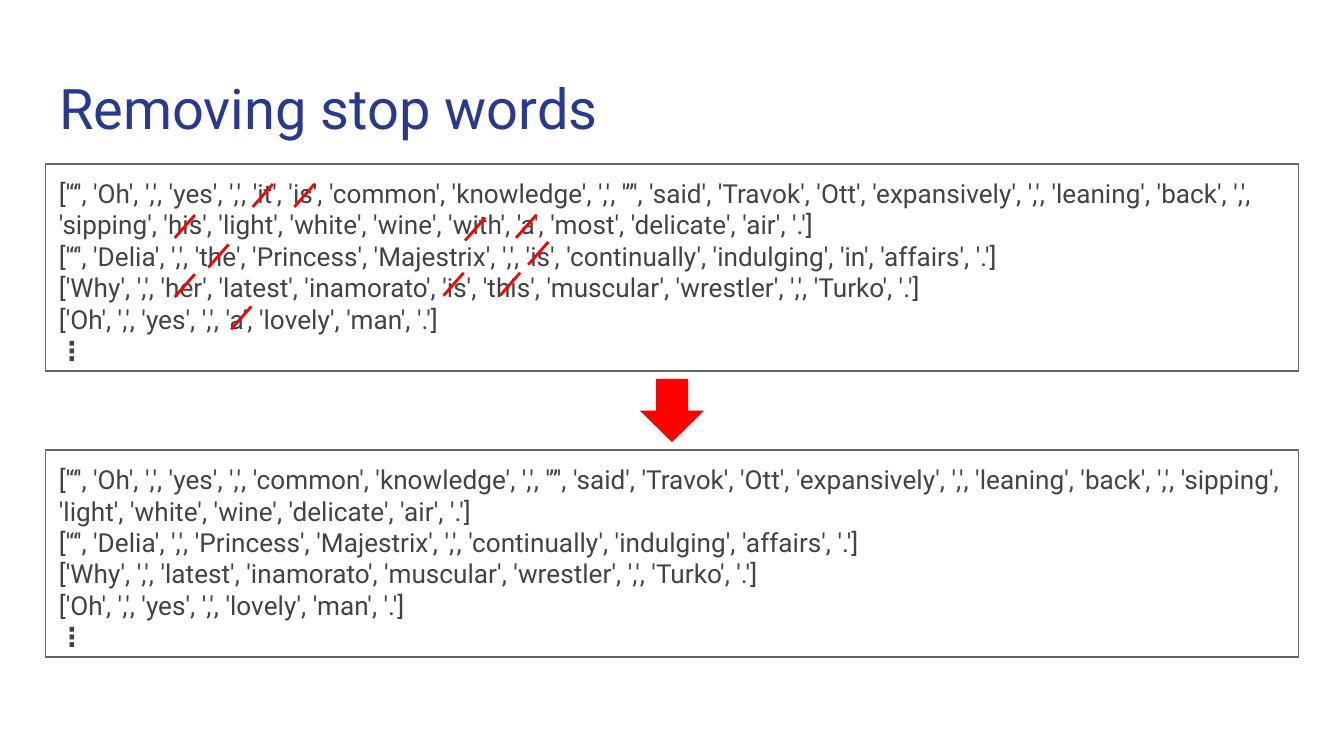
from lxml import etree
from pptx import Presentation
from pptx.dml.color import RGBColor
from pptx.enum import shapes, text
from pptx.oxml import ns
from pptx.util import Inches, Pt

BLUE = RGBColor(0x2A, 0x39, 0x90)
DARK = RGBColor(0x43, 0x43, 0x43)
GRAY = RGBColor(0x66, 0x66, 0x66)
RED = RGBColor(0xFF, 0x00, 0x00)
FONT = "Roboto"

TITLE = "Removing stop words"
SENTENCES = [
    "“ Oh , yes , it is common knowledge , ” said Travok Ott expansively , "
    "leaning back , sipping his light white wine with a most delicate air .",
    "“ Delia , the Princess Majestrix , is continually indulging in affairs .",
    "Why , her latest inamorato is this muscular wrestler , Turko .",
    "Oh , yes , a lovely man .",
]
STOP_WORDS = {"it", "is", "his", "with", "a", "most", "the", "in", "her", "this"}
# Left and top of each strike through a stop word
STRIKES = [
    (1.88, 1.37), (2.19, 1.37),
    (1.3, 1.6), (3.46, 1.62), (3.84, 1.6),
    (1.55, 1.82), (3.93, 1.8),
    (1.3, 2.04), (3.3, 2.03), (3.72, 2.03),
    (1.72, 2.28),
]
STRIKE_WIDTH, STRIKE_HEIGHT = 0.15, 0.17
LEFT, WIDTH = 0.34, 9.32
BOX_HEIGHT = 1.54
BEFORE_TOP, AFTER_TOP = 1.22, 3.35
ARROW_WIDTH, ARROW_HEIGHT = 0.48, 0.47


def as_list(tokens):
    return "[" + ", ".join(f"'{token}'" for token in tokens) + "]"


def set_frame(frame):
    frame.word_wrap = True
    frame.auto_size = text.MSO_AUTO_SIZE.NONE
    frame.vertical_anchor = text.MSO_ANCHOR.TOP
    frame.margin_left = frame.margin_right = Inches(0.1)
    frame.margin_top = frame.margin_bottom = Inches(0.1)


def style(para, size, color, bold=False):
    para.alignment = text.PP_ALIGN.LEFT
    for span in para.runs:
        span.font.name = FONT
        span.font.size = Pt(size)
        span.font.bold = bold
        span.font.color.rgb = color


def add_token_box(page, top, token_lists):
    box = page.shapes.add_shape(
        shapes.MSO_SHAPE.RECTANGLE,
        Inches(LEFT), Inches(top), Inches(WIDTH), Inches(BOX_HEIGHT))
    box.shadow.inherit = False
    box.fill.background()
    box.line.color.rgb = GRAY
    box.line.width = Pt(0.75)
    set_frame(box.text_frame)
    lines = [as_list(tokens) for tokens in token_lists] + ["⋮"]
    box.text_frame.text = "\n".join(lines)
    for para in box.text_frame.paragraphs:
        style(para, 14, DARK, bold=para.text == "⋮")


def add_strike(page, left, top):
    strike = page.shapes.add_connector(
        shapes.MSO_CONNECTOR.STRAIGHT,
        Inches(left + STRIKE_WIDTH), Inches(top),
        Inches(left), Inches(top + STRIKE_HEIGHT))
    strike.line.color.rgb = RED
    strike.line.width = Pt(1.5)
    etree.SubElement(strike._element.spPr, ns.qn("a:effectLst"))


def add_arrow(page):
    """Centre the arrow in the gap between the two boxes."""
    left = LEFT + (WIDTH - ARROW_WIDTH) / 2
    top = (BEFORE_TOP + BOX_HEIGHT + AFTER_TOP - ARROW_HEIGHT) / 2
    arrow = page.shapes.add_shape(
        shapes.MSO_SHAPE.DOWN_ARROW,
        Inches(left), Inches(top), Inches(ARROW_WIDTH), Inches(ARROW_HEIGHT))
    arrow.shadow.inherit = False
    arrow.fill.solid()
    arrow.fill.fore_color.rgb = RED
    arrow.line.fill.background()


def main():
    deck = Presentation()
    deck.slide_width = Inches(10)
    deck.slide_height = Inches(10 * 9 / 16)
    page = deck.slides.add_slide(deck.slide_layouts[5])

    title = page.shapes.title
    title.left, title.top = Inches(LEFT), Inches(0.45)
    title.width, title.height = Inches(WIDTH), Inches(0.66)
    set_frame(title.text_frame)
    title.text_frame.text = TITLE
    style(title.text_frame.paragraphs[0], 30, BLUE)

    before = [sentence.split() for sentence in SENTENCES]
    after = [[token for token in tokens if token not in STOP_WORDS]
             for tokens in before]
    add_token_box(page, BEFORE_TOP, before)
    for left, top in STRIKES:
        add_strike(page, left, top)
    add_token_box(page, AFTER_TOP, after)
    add_arrow(page)

    deck.save("out.pptx")


if __name__ == "__main__":
    main()
